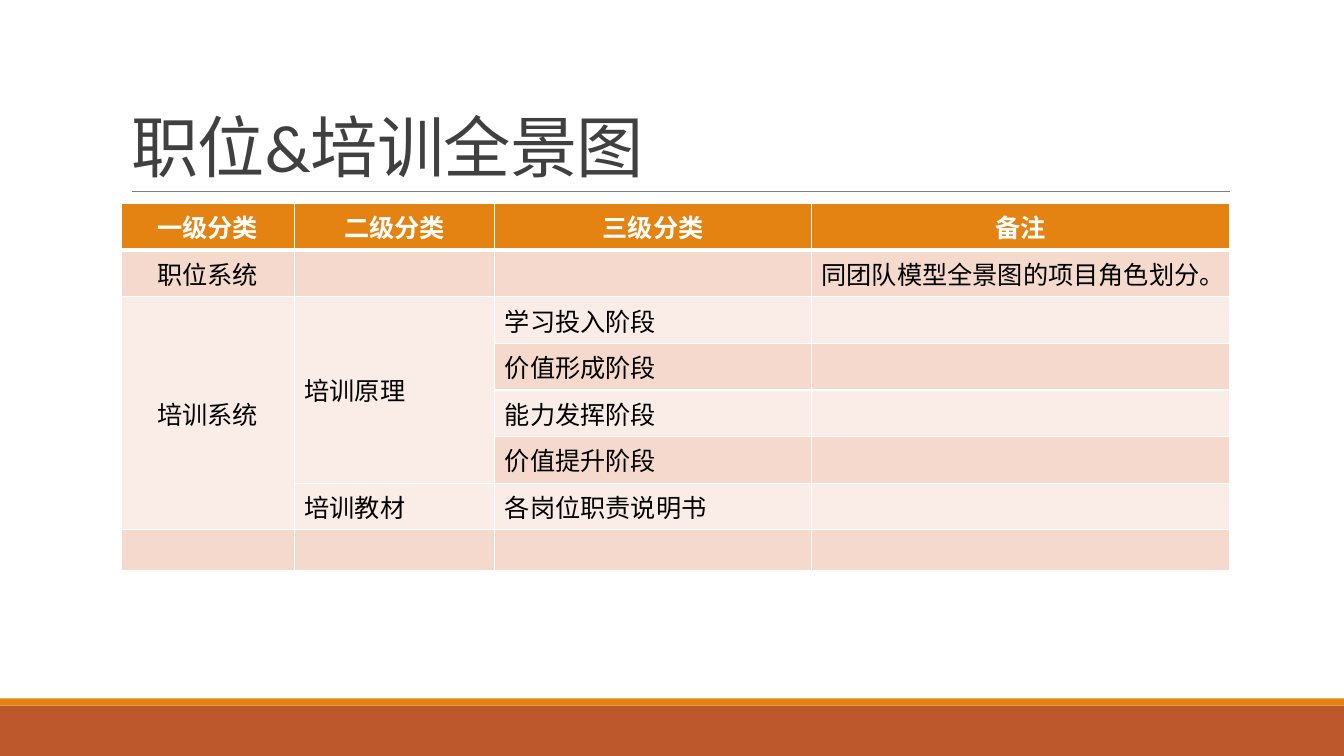
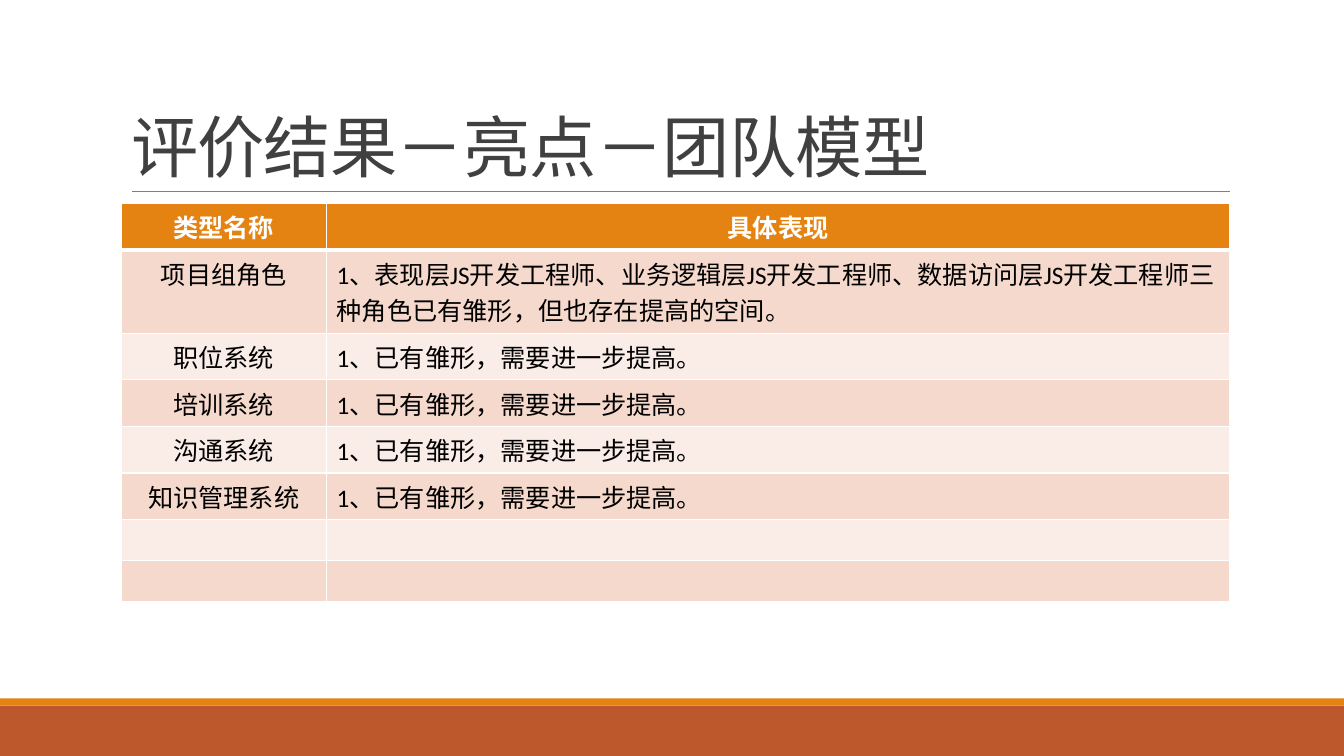
from lxml.etree import SubElement
from pptx import Presentation
from pptx.dml.color import RGBColor
from pptx.enum.lang import MSO_LANGUAGE_ID
from pptx.enum.shapes import MSO_CONNECTOR, MSO_SHAPE
from pptx.enum.text import MSO_ANCHOR, MSO_AUTO_SIZE, PP_ALIGN
from pptx.oxml.ns import qn
from pptx.util import Cm, Pt

COLORS = {
    "band": "BD582C", "accent": "E48312", "rule": "808080",
    "title": "404040", "text": "000000", "white": "FFFFFF",
    "odd": "F5D9CC", "even": "FAEDE7",
}
FONT = "Calibri"
W, H = 33.87, 19.05  # slide size in cm
TITLE_BOX = (3.05, 0.79, 27.94, 4.04)
FOOTER_BOX = (0, 17.6, W, H - 17.6)
TABLE_BOX = (3.05, 5.13, 27.94)  # left, top, width
ROW_H = 1.03


def rgb(name):
    return RGBColor.from_string(COLORS[name])


def add_run(p, text, size, color, bold=False):
    r = p.add_run()
    r.text = text
    font = r.font
    font.name, font.size, font.bold = FONT, Pt(size), bold
    font.color.rgb = rgb(color)
    font.language_id = MSO_LANGUAGE_ID.SIMPLIFIED_CHINESE
    return r


def add_bar(s, x, y, w, h, color):
    sp = s.shapes.add_shape(MSO_SHAPE.RECTANGLE, Cm(x), Cm(y), Cm(w), Cm(h))
    sp.shadow.inherit = False
    sp.fill.solid()
    sp.fill.fore_color.rgb = rgb(color)
    sp.line.fill.background()


def add_footer(s, box):
    x, y, w, h = box
    strip = 0.18
    add_bar(s, x, y + strip, w, h - strip, "band")
    add_bar(s, x, y, w, strip, "accent")


def add_title(s, box, text):
    x, y, w, h = box
    # Rule under the title, inset on the left like the text
    rule = s.shapes.add_connector(
        MSO_CONNECTOR.STRAIGHT, Cm(x + 0.28), Cm(y + h), Cm(x + w), Cm(y + h))
    rule.line.color.rgb = rgb("rule")
    rule.line.width = Pt(0.5)
    SubElement(rule._element.spPr, qn("a:effectLst"))
    # Title placeholder
    sp = s.shapes.title
    sp.left, sp.top, sp.width, sp.height = (Cm(v) for v in box)
    tf = sp.text_frame
    tf.word_wrap = True
    tf.auto_size = MSO_AUTO_SIZE.NONE
    tf.vertical_anchor = MSO_ANCHOR.BOTTOM
    p = tf.paragraphs[0]
    p.alignment = PP_ALIGN.LEFT
    p.line_spacing = 0.85
    r = add_run(p, text, 48, "title")
    r.font._element.set("spc", "-50")


def set_borders(cell, top, bottom):
    tcPr = cell._tc.get_or_add_tcPr()
    for side, width in (("L", 1), ("R", 1), ("T", top), ("B", bottom)):
        ln = SubElement(tcPr, qn(f"a:ln{side}"), w=str(Pt(width)))
        fill = SubElement(ln, qn("a:solidFill"))
        SubElement(fill, qn("a:srgbClr"), val=COLORS["white"])


def add_table(s, box, widths, rows, merges=()):
    """The last column takes the width that is left over."""
    x, y, w = box
    widths = [*widths, w - sum(widths)]
    table = s.shapes.add_table(len(rows), len(widths), Cm(x), Cm(y), Cm(w),
                               Cm(ROW_H * len(rows))).table
    table.horz_banding = False
    for col, width in zip(table.columns, widths):
        col.width = Cm(width)
    for i, row in enumerate(rows):
        table.rows[i].height = Cm(ROW_H)
        head = i == 0
        for j, text in enumerate(row):
            cell = table.cell(i, j)
            set_borders(cell, 3 if i == 1 else 1, 3 if head else 1)
            cell.fill.solid()
            cell.fill.fore_color.rgb = rgb(
                "accent" if head else "odd" if i % 2 else "even")
            if text:
                p = cell.text_frame.paragraphs[0]
                p.alignment = PP_ALIGN.CENTER if head or j == 0 else PP_ALIGN.LEFT
                add_run(p, text, 18, "white" if head else "text", head)
    # Cells that span several rows
    for col, first, last in merges:
        cell = table.cell(first, col)
        cell.merge(table.cell(last, col))
        cell.vertical_anchor = MSO_ANCHOR.MIDDLE


def add_table_slide(prs, title, widths, rows, merges=()):
    s = prs.slides.add_slide(prs.slide_layouts[5])
    add_footer(s, FOOTER_BOX)
    add_title(s, TITLE_BOX, title)
    add_table(s, TABLE_BOX, widths, rows, merges)


def main():
    prs = Presentation()
    prs.slide_width, prs.slide_height = Cm(W), Cm(H)

    add_table_slide(prs, "职位&培训全景图", [4.37, 5.05, 7.98], [
        ["一级分类", "二级分类", "三级分类", "备注"],
        ["职位系统", "", "", "同团队模型全景图的项目角色划分。"],
        ["培训系统", "培训原理", "学习投入阶段", ""],
        ["", "", "价值形成阶段", ""],
        ["", "", "能力发挥阶段", ""],
        ["", "", "价值提升阶段", ""],
        ["", "培训教材", "各岗位职责说明书", ""],
        [""] * 4,
    ], merges=[(0, 2, 6), (1, 2, 5)])

    progress = "1、已有雏形，需要进一步提高。"
    systems = ["职位系统", "培训系统", "沟通系统", "知识管理系统"]
    add_table_slide(prs, "评价结果－亮点－团队模型", [5.18], [
        ["类型名称", "具体表现"],
        ["项目组角色", "1、表现层JS开发工程师、业务逻辑层JS开发工程师、"
                  "数据访问层JS开发工程师三种角色已有雏形，但也存在提高的空间。"],
        *([name, progress] for name in systems),
        [""] * 2,
        [""] * 2,
    ])

    prs.save("out.pptx")


if __name__ == "__main__":
    main()
